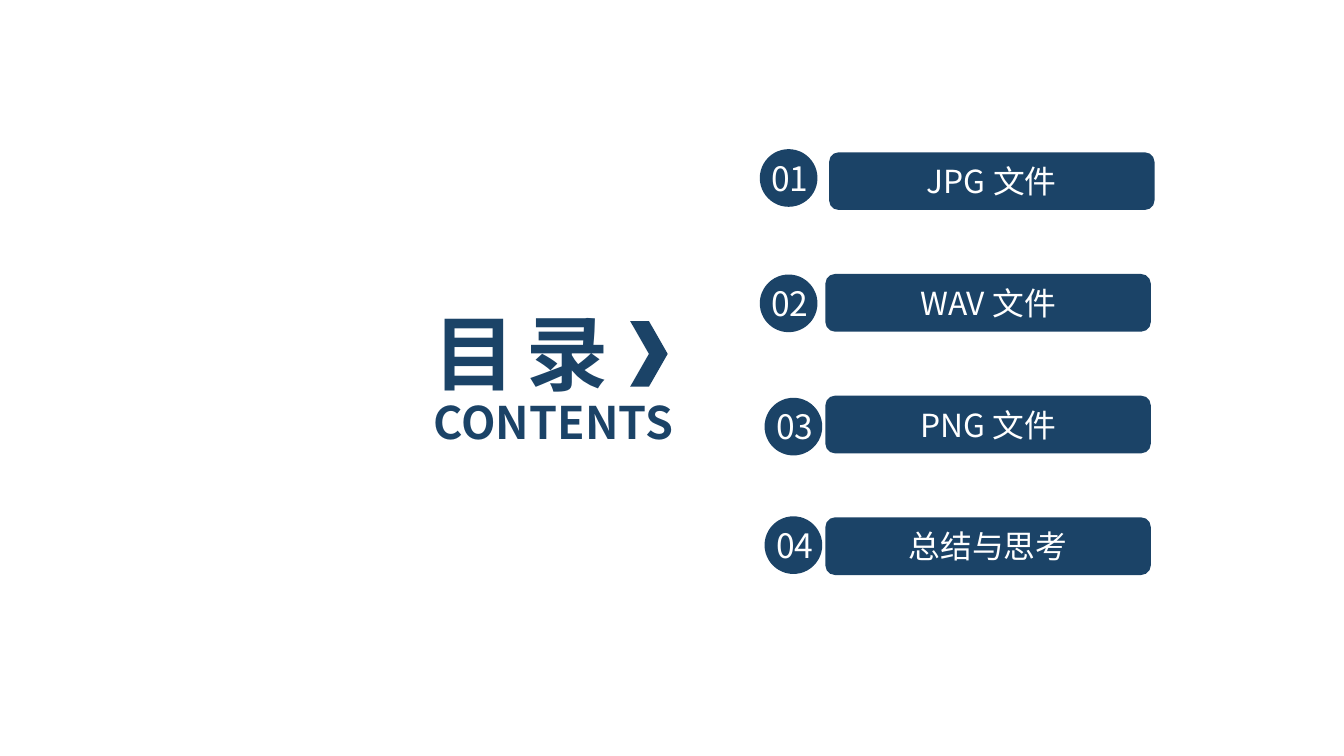
from pptx import Presentation
from pptx.dml.color import RGBColor
from pptx.enum.shapes import MSO_SHAPE
from pptx.enum.text import MSO_ANCHOR, PP_ALIGN
from pptx.util import Cm, Pt
from lxml.etree import SubElement
from pptx.oxml.ns import qn
from dataclasses import dataclass


@dataclass(frozen=True)
class Theme:
    """Colours, font and type sizes of the slide."""
    navy: RGBColor = RGBColor(0x1B, 0x43, 0x67)
    white: RGBColor = RGBColor(0xFF, 0xFF, 0xFF)
    font: str = "Noto Sans CJK SC"
    title: int = 44
    sub: int = 24
    num: int = 18
    item: int = 17


T = Theme()
HEADS = [
    ("目 录", (7.95, 5.59, 5.97, 2.13), T.title, -220),
    ("CONTENTS", (7.95, 7.34, 5.87, 1.27), T.sub, None),
]
ITEMS = [
    ("JPG 文件", 15.67, 14.36, 2.82),
    ("WAV 文件", 15.6, 14.36, 5.19),
    ("PNG 文件", 15.6, 14.45, 7.52),
    ("总结与思考", 15.6, 14.45, 9.76),
]
TOP, STEP = 2.88, 2.3
BAR_W, SIDE = 6.15, 1.09
NUM_W, NUM_H = 1.32, 1.02


def write(box, text, size, color=T.navy, bold=False, align=PP_ALIGN.LEFT, gap=None):
    """Put one formatted line of text in a shape."""
    frame = box.text_frame
    frame.word_wrap = True
    frame.vertical_anchor = MSO_ANCHOR.MIDDLE
    line = frame.paragraphs[0]
    line.alignment = align
    run = line.add_run()
    run.text = text
    font = run.font
    font.size, font.bold, font.name = Pt(size), bold, T.font
    font.color.rgb = color
    props = run._r.get_or_add_rPr()
    SubElement(props, qn("a:ea")).set("typeface", T.font)
    if gap is not None:
        props.set("spc", str(gap))


def draw(shapes, kind, *area):
    """Add a plain navy shape."""
    shape = shapes.add_shape(kind, *map(Cm, area))
    shape.shadow.inherit = False
    shape.fill.solid()
    shape.fill.fore_color.rgb = T.navy
    shape.line.fill.background()
    return shape


def main():
    """Build the contents slide."""
    deck = Presentation()
    deck.slide_width, deck.slide_height = Cm(25.4), Cm(14.29)
    shapes = deck.slides.add_slide(deck.slide_layouts[6]).shapes

    for text, area, size, gap in HEADS:
        write(shapes.add_textbox(*map(Cm, area)), text, size, bold=True, gap=gap)
    draw(shapes, MSO_SHAPE.CHEVRON, 11.91, 6.07, 0.71, 1.24)

    light = {"color": T.white, "align": PP_ALIGN.CENTER}
    for i, (text, left, x, y) in enumerate(ITEMS):
        bar = draw(shapes, MSO_SHAPE.ROUNDED_RECTANGLE, left, TOP + i * STEP, BAR_W, SIDE)
        write(bar, text, T.item, **light)
        badge = shapes.add_group_shape().shapes
        draw(badge, MSO_SHAPE.OVAL, x, y, SIDE, SIDE)
        area = (x - 0.09, y + 0.03, NUM_W, NUM_H)
        write(badge.add_textbox(*map(Cm, area)), f"{i + 1:02}", T.num, **light)

    deck.save("out.pptx")


if __name__ == "__main__":
    main()
